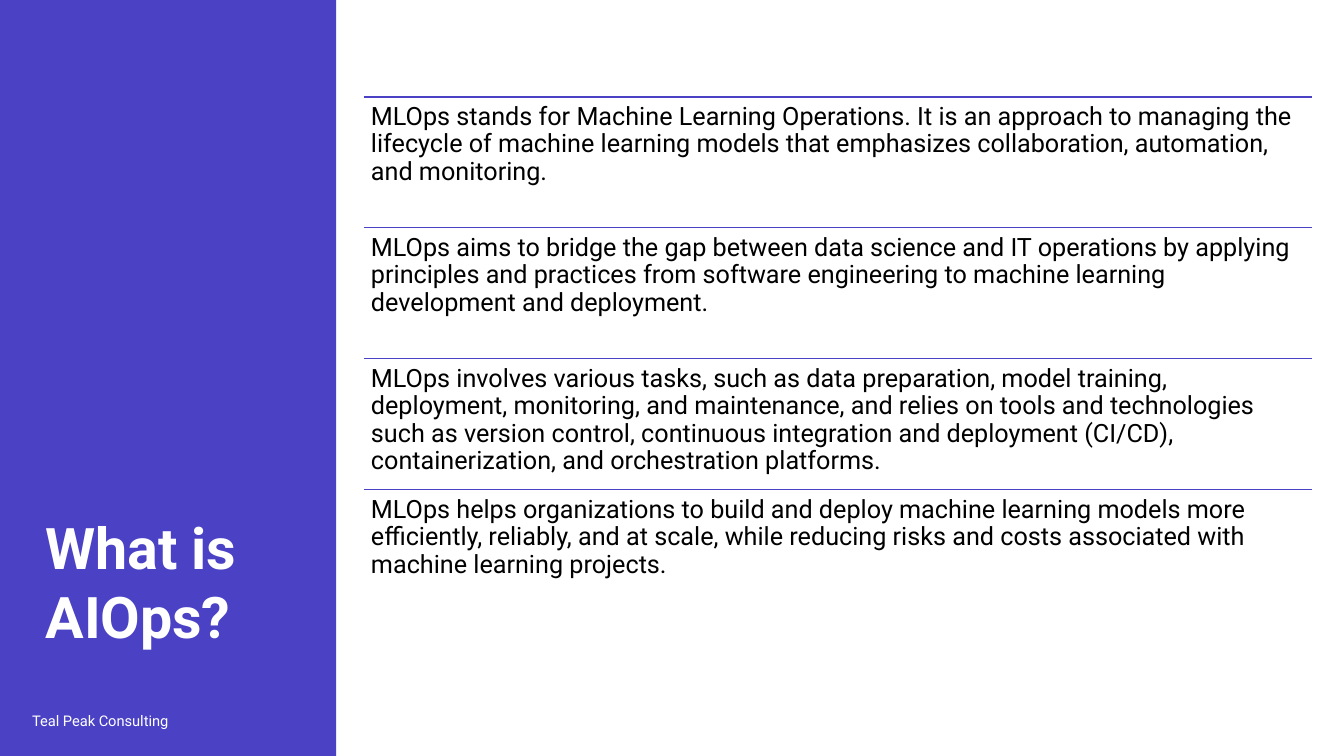
from lxml.etree import SubElement
from pptx import Presentation
from pptx.dml.color import RGBColor
from pptx.enum.shapes import MSO_CONNECTOR, MSO_SHAPE
from pptx.enum.text import MSO_ANCHOR
from pptx.oxml.ns import qn
from pptx.util import Cm, Pt

STATEMENTS = [
    "MLOps stands for Machine Learning Operations. It is an approach to managing the "
    "lifecycle of machine learning models that emphasizes collaboration, automation, "
    "and monitoring.",
    "MLOps aims to bridge the gap between data science and IT operations by applying "
    "principles and practices from software engineering to machine learning "
    "development and deployment.",
    "MLOps involves various tasks, such as data preparation, model training, "
    "deployment, monitoring, and maintenance, and relies on tools and technologies "
    "such as version control, continuous integration and deployment (CI/CD), "
    "containerization, and orchestration platforms.",
    "MLOps helps organizations to build and deploy machine learning models more "
    "efficiently, reliably, and at scale, while reducing risks and costs associated with "
    "machine learning projects.",
]


def color(hex_code):
    """Turn a hex string into a colour."""
    return RGBColor.from_string(hex_code)


def write(frame, text, size, ink, font="Roboto", bold=False, leading=None, tracking=None):
    """Put one formatted paragraph into a text frame."""
    paragraph = frame.paragraphs[0]
    if leading:
        paragraph.line_spacing = leading
    run = paragraph.add_run()
    run.text = text
    run.font.name = font
    run.font.size = Pt(size)
    run.font.bold = bold
    run.font.color.rgb = color(ink)
    if tracking:
        run.font._element.set("spc", str(round(tracking * 100)))


class SlideBuilder:
    """Hold the slide and its palette, and draw each kind of element."""

    accent = "4A41C5"
    light = "FFFFFF"
    dark = "000000"

    def __init__(self, slide):
        """Keep the slide to draw on."""
        self.slide = slide

    def panel(self, left, top, width, height):
        """Draw a filled rectangle without an outline."""
        panel = self.slide.shapes.add_shape(
            MSO_SHAPE.RECTANGLE, Cm(left), Cm(top), Cm(width), Cm(height))
        panel.shadow.inherit = False
        panel.fill.solid()
        panel.fill.fore_color.rgb = color(self.accent)
        panel.line.fill.background()

    def rule(self, left, top, width):
        """Draw a thin horizontal line."""
        rule = self.slide.shapes.add_connector(
            MSO_CONNECTOR.STRAIGHT, Cm(left), Cm(top), Cm(left + width), Cm(top))
        rule.line.color.rgb = color(self.accent)
        rule.line.width = Pt(1)
        SubElement(rule._element.spPr, qn("a:effectLst"))

    def text(self, left, top, width, height, content,
             anchor=MSO_ANCHOR.TOP, inset=None, **style):
        """Place a wrapped block of text."""
        frame = self.slide.shapes.add_textbox(
            Cm(left), Cm(top), Cm(width), Cm(height)).text_frame
        frame.word_wrap = True
        frame.vertical_anchor = anchor
        if inset is not None:
            frame.margin_left = frame.margin_right = Cm(inset)
            frame.margin_top = frame.margin_bottom = Cm(inset)
        write(frame, content, **style)


def main():
    """Build and save the presentation."""
    deck = Presentation()
    deck.slide_width, deck.slide_height = Cm(33.87), Cm(19.05)
    page = SlideBuilder(deck.slides.add_slide(deck.slide_layouts[6]))

    page.panel(0, 0, 8.47, 19.05)
    page.text(0.91, 2.44, 6.63, 14.07, "What is AIOps?", anchor=MSO_ANCHOR.BOTTOM,
              size=41, ink=page.light, bold=True, tracking=-0.2)

    left, first_top, width, pitch = 9.17, 2.44, 23.9, 3.3
    for index, statement in enumerate(STATEMENTS):
        top = first_top + index * pitch
        page.rule(left, top, width)
        page.text(left, top, width, pitch, statement, inset=0.18,
                  size=18, ink=page.dark, leading=0.9)

    page.text(0.56, 17.65, 7.7, 1.02, "Teal Peak Consulting", anchor=MSO_ANCHOR.MIDDLE,
              size=10.5, ink=page.light)
    deck.save("out.pptx")


if __name__ == "__main__":
    main()
